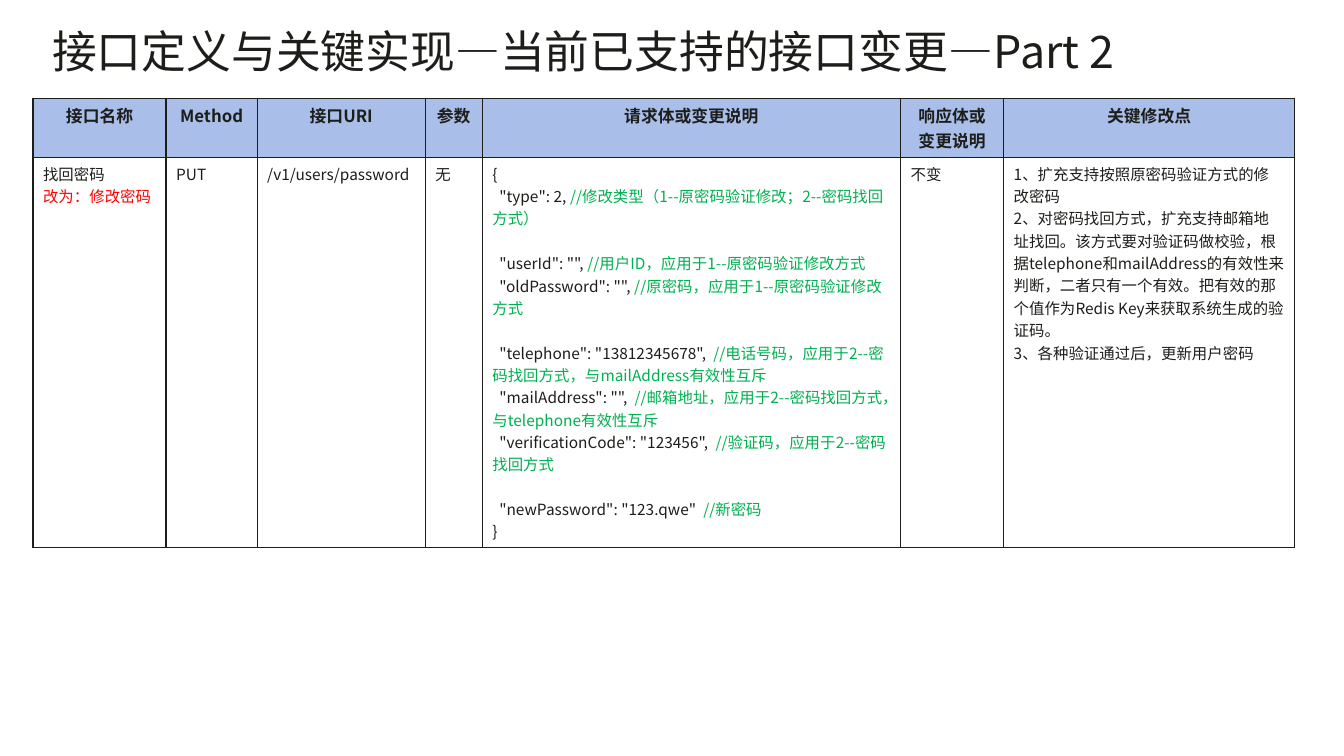
from dataclasses import dataclass

from lxml.etree import SubElement
from pptx import Presentation
from pptx.dml.color import RGBColor as Rgb
from pptx.enum.text import MSO_ANCHOR as Anchor, MSO_AUTO_SIZE as Auto, PP_ALIGN as Align
from pptx.oxml.ns import qn
from pptx.util import Pt

SCALE = 9080  # EMU in one px
FONT = "Noto Sans CJK SC"
INK, RED, GREEN = "1D1D1A", "FF0000", "00B050"
HEAD, WHITE = "A9BEE9", "FFFFFF"
TITLE = "接口定义与关键实现—当前已支持的接口变更—Part 2"


@dataclass
class Line:
    text: str
    note: str = ""
    color: str = INK
    gap: int = 0


@dataclass
class Col:
    head: str
    width: int
    lines: list[Line]


COLS = [
    Col("接口名称", 133, [Line("找回密码"), Line("改为：修改密码", color=RED)]),
    Col("Method", 91, [Line("PUT")]),
    Col("接口URI", 168, [Line("/v1/users/password")]),
    Col("参数", 57, [Line("无")]),
    Col("请求体或变更说明", 418, [
        Line("{"),
        Line('  "type": 2, ', "//修改类型（1--原密码验证修改；2--密码找回方式）"),
        Line('  "userId": "", ', "//用户ID，应用于1--原密码验证修改方式", gap=16),
        Line('  "oldPassword": "", ', "//原密码，应用于1--原密码验证修改方式"),
        Line('  "telephone": "13812345678",  ',
             "//电话号码，应用于2--密码找回方式，与mailAddress有效性互斥", gap=16),
        Line('  "mailAddress": "",  ',
             "//邮箱地址，应用于2--密码找回方式，与telephone有效性互斥"),
        Line('  "verificationCode": "123456",  ', "//验证码，应用于2--密码找回方式"),
        Line('  "newPassword": "123.qwe"  ', "//新密码", gap=16),
        Line("}"),
    ]),
    Col("响应体或变更说明", 103, [Line("不变")]),
    Col("关键修改点", 291, [
        Line("1、扩充支持按照原密码验证方式的修改密码"),
        Line("2、对密码找回方式，扩充支持邮箱地址找回。该方式要对验证码做校验，"
             "根据telephone和mailAddress的有效性来判断，二者只有一个有效。"
             "把有效的那个值作为Redis Key来获取系统生成的验证码。"),
        Line("3、各种验证通过后，更新用户密码"),
    ]),
]


def px(n: int) -> int:
    return n * SCALE


def rgb(color: str) -> Rgb:
    return Rgb.from_string(color)


def write(frame, lines: list[Line], size: int = 11, bold: bool = False,
          align=Align.LEFT, pitch: float | None = None) -> None:
    for i, line in enumerate(lines):
        para = frame.add_paragraph() if i else frame.paragraphs[0]
        para.alignment = align
        if pitch:
            para.line_spacing = Pt(pitch)
        if line.gap:
            para.space_before = Pt(line.gap)
        for text, color in ((line.text, line.color), (line.note, GREEN)):
            if not text:
                continue
            run = para.add_run()
            run.text = text
            font = run.font
            font.name, font.size, font.bold = FONT, Pt(size), bold
            font.color.rgb = rgb(color)
            SubElement(run._r.get_or_add_rPr(), qn("a:ea"), typeface=FONT)


def paint(cell, color: str) -> None:
    # Borders come before the fill in the cell properties
    props = cell._tc.get_or_add_tcPr()
    for side in "LRTB":
        edge = SubElement(props, qn(f"a:ln{side}"), w=str(Pt(1)))
        fill = SubElement(edge, qn("a:solidFill"))
        SubElement(fill, qn("a:srgbClr"), val=INK)
    cell.fill.solid()
    cell.fill.fore_color.rgb = rgb(color)


def add_title(slide) -> None:
    title = slide.shapes.title
    title.left, title.top, title.width, title.height = map(px, (52, 29, 1259, 63))
    frame = title.text_frame
    frame.margin_left = frame.margin_right = frame.margin_top = frame.margin_bottom = 0
    frame.auto_size, frame.vertical_anchor = Auto.NONE, Anchor.TOP
    frame.word_wrap = True
    write(frame, [Line(TITLE)], size=32, pitch=34.3)


def add_grid(slide) -> None:
    wide = sum(col.width for col in COLS)
    rows = (59, 390)
    grid = slide.shapes.add_table(
        len(rows), len(COLS), px(33), px(98), px(wide), px(sum(rows))).table
    grid.horz_banding = False
    for row, high in zip(grid.rows, rows):
        row.height = px(high)
    for i, col in enumerate(COLS):
        grid.columns[i].width = px(col.width)
        head, body = grid.cell(0, i), grid.cell(1, i)
        paint(head, HEAD)
        paint(body, WHITE)
        write(head.text_frame, [Line(col.head)], size=12, bold=True, align=Align.CENTER)
        write(body.text_frame, col.lines)


def main() -> None:
    deck = Presentation()
    deck.slide_width, deck.slide_height = px(1343), px(755)
    slide = deck.slides.add_slide(deck.slide_layouts[5])
    add_title(slide)
    add_grid(slide)
    deck.save("out.pptx")


if __name__ == "__main__":
    main()
